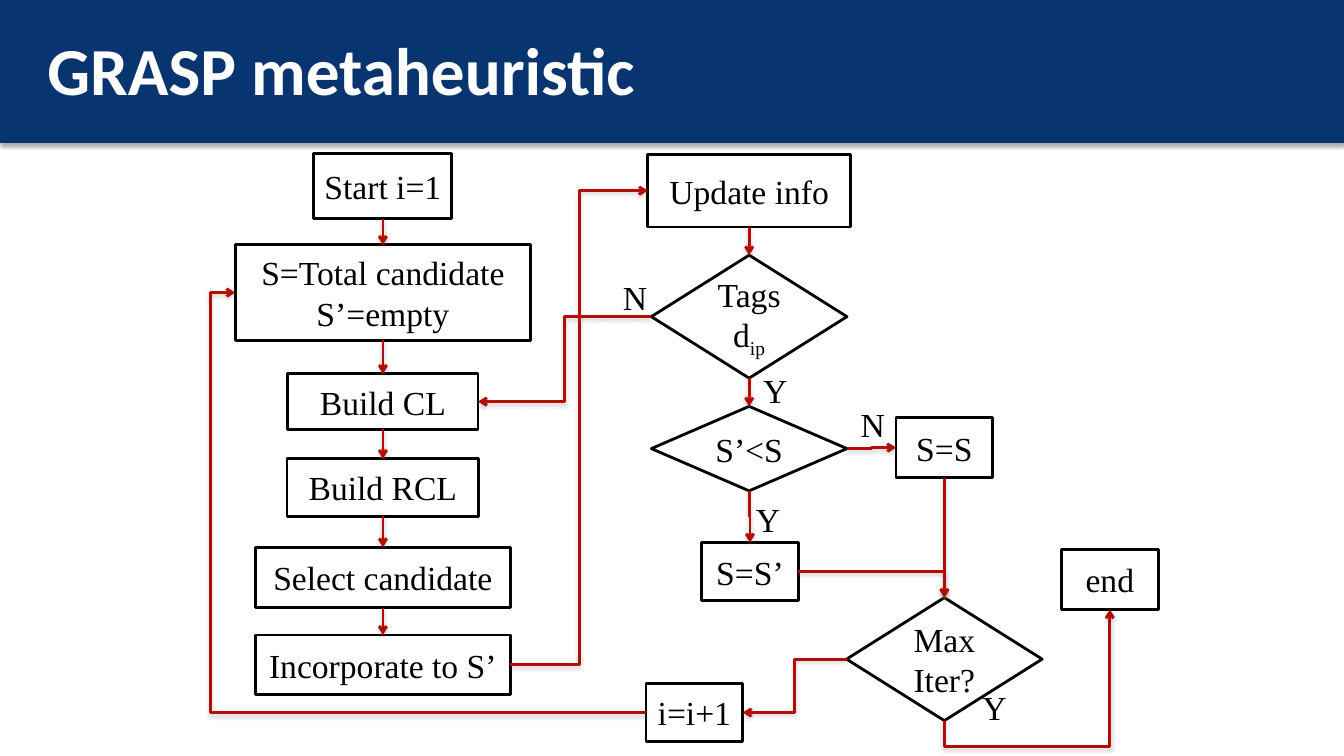
from lxml.etree import SubElement
from pptx import Presentation
from pptx.dml.color import RGBColor
from pptx.enum.shapes import MSO_CONNECTOR, MSO_SHAPE
from pptx.enum.text import MSO_ANCHOR, PP_ALIGN
from pptx.oxml.ns import qn
from pptx.util import Cm, Pt

COLORS = {
    "header": "083470",
    "white": "FFFFFF",
    "ink": "000000",
    "arrow": "B50C00",
    "arrow_shadow": "808080",
}
TOP, LEFT, BOTTOM, RIGHT = range(4)


def color(name):
    return RGBColor.from_string(COLORS[name])


def add_run(p, text, font="Times New Roman", size=24, fill="ink", bold=False, baseline=None):
    r = p.add_run()
    r.text = text
    r.font.name = font
    r.font.size = Pt(size)
    r.font.bold = bold
    r.font.color.rgb = color(fill)
    if baseline:
        r.font._element.set("baseline", str(baseline * 1000))


def add_shadow(sp, name, alpha, distance):
    effects = SubElement(sp.element.spPr, qn("a:effectLst"))
    shadow = SubElement(effects, qn("a:outerShdw"), blurRad=str(Pt(3.1)),
                        dist=str(Pt(distance)), dir="5400000", rotWithShape="0")
    clr = SubElement(shadow, qn("a:srgbClr"), val=COLORS[name])
    SubElement(clr, qn("a:alpha"), val=str(alpha * 1000))


class FlowSlide:
    def __init__(self, prs):
        self.s = prs.slides.add_slide(prs.slide_layouts[5])
        self.shapes = self.s.shapes

    def header(self, text, width, height):
        sp = self.shapes.add_shape(MSO_SHAPE.RECTANGLE, 0, 0, width, height)
        sp.fill.solid()
        sp.fill.fore_color.rgb = color("header")
        sp.line.fill.background()
        add_shadow(sp, "ink", 35, 1.8)
        title = self.shapes.title
        title.element.addprevious(sp.element)
        title.left, title.top, title.width, title.height = Cm(0.94), Cm(0.15), Cm(27.84), Cm(3.18)
        tf = title.text_frame
        tf.vertical_anchor = MSO_ANCHOR.MIDDLE
        p = tf.paragraphs[0]
        p.alignment = PP_ALIGN.LEFT
        add_run(p, text, font="Calibri", size=48, fill="white", bold=True)

    def put_text(self, sp, text):
        tf = sp.text_frame
        tf.word_wrap = False
        tf.vertical_anchor = MSO_ANCHOR.MIDDLE
        tf.margin_left = tf.margin_right = tf.margin_top = tf.margin_bottom = 0
        for i, line in enumerate(text.split("\n")):
            p = tf.add_paragraph() if i else tf.paragraphs[0]
            p.alignment = PP_ALIGN.CENTER
            base, _, sub = line.partition("_")
            add_run(p, base)
            if sub:
                add_run(p, sub, baseline=-25)

    def node(self, text, center, top, width, height, kind=MSO_SHAPE.RECTANGLE):
        sp = self.shapes.add_shape(kind, Cm(center - width / 2), Cm(top), Cm(width), Cm(height))
        sp.shadow.inherit = False
        sp.fill.solid()
        sp.fill.fore_color.rgb = color("white")
        sp.line.color.rgb = color("ink")
        sp.line.width = Pt(2)
        self.put_text(sp, text)
        return sp

    def decision(self, text, center, top, height):
        return self.node(text, center, top, 4.93, height, MSO_SHAPE.DIAMOND)

    def label(self, text, left, top):
        self.put_text(self.shapes.add_textbox(Cm(left), Cm(top), Cm(1.37), Cm(1.52)), text)

    def arrow(self, start, end, out=BOTTOM, into=TOP, bend=None):
        c = self.shapes.add_connector(MSO_CONNECTOR.ELBOW, 0, 0, 0, 0)
        c.begin_connect(start, out)
        c.end_connect(end, into)
        if out == BOTTOM:
            self.turn(c)
        geom = c.element.spPr.find(qn("a:prstGeom"))
        if out == RIGHT and into == TOP:
            geom.set("prst", "bentConnector2")
        if bend is not None:
            SubElement(geom.find(qn("a:avLst")), qn("a:gd"), name="adj1", fmla=f"val {bend * 1000}")
        c.line.color.rgb = color("arrow")
        c.line.width = Pt(2)
        SubElement(c.line._get_or_add_ln(), qn("a:tailEnd"), type="arrow")
        add_shadow(c, "arrow_shadow", 38, 1.6)

    def turn(self, c):
        x1, y1, x2, y2 = c.begin_x, c.begin_y, c.end_x, c.end_y
        across, down = abs(x2 - x1), abs(y2 - y1)
        c.left, c.top = (x1 + x2 - down) // 2, (y1 + y2 - across) // 2
        c.width, c.height = down, across
        xfrm = c.element.spPr.find(qn("a:xfrm"))
        xfrm.set("rot", "5400000")
        xfrm.set("flipH", str(int(y2 < y1)))
        xfrm.set("flipV", str(int(x2 > x1)))


def main():
    prs = Presentation()
    prs.slide_width, prs.slide_height = Cm(33.87), Cm(19.05)
    flow = FlowSlide(prs)
    flow.header("GRASP metaheuristic", prs.slide_width, Cm(3.6))

    build, check, finish = 9.65, 18.88, 23.8
    start = flow.node("Start i=1", build, 3.86, 3.48, 1.65)
    init = flow.node("S=Total candidate\nS’=empty", build, 6.17, 7.44, 2.41)
    cl = flow.node("Build CL", build, 9.42, 4.8, 1.4)
    rcl = flow.node("Build RCL", build, 11.56, 4.83, 1.45)
    select = flow.node("Select candidate", build, 13.79, 6.43, 1.52)
    incorporate = flow.node("Incorporate to S’", build, 16, 6.43, 1.5)
    update = flow.node("Update info", check, 3.89, 5.11, 1.83)
    tags = flow.decision("Tags\nd_ip", check, 6.43, 3.1)
    better = flow.decision("S’<S", check, 10.24, 2.13)
    replace = flow.node("S=S’", check + 0.02, 13.67, 2.44, 1.47)
    keep = flow.node("S=S", finish, 10.52, 2.44, 1.52)
    limit = flow.decision("Max\nIter?", finish, 15.06, 3.1)
    following = flow.node("i=i+1", 17.5, 17.22, 2.44, 1.47)
    end = flow.node("end", 27.97, 13.84, 2.44, 1.52)

    for chain in ((start, init, cl, rcl, select, incorporate),
                  (update, tags, better, replace), (keep, limit)):
        for a, b in zip(chain, chain[1:]):
            flow.arrow(a, b)
    flow.arrow(incorporate, update, RIGHT, LEFT)
    flow.arrow(better, keep, RIGHT, LEFT)
    flow.arrow(tags, cl, LEFT, RIGHT)
    flow.arrow(limit, following, LEFT, RIGHT)
    flow.arrow(following, init, LEFT, LEFT, bend=106)
    flow.arrow(replace, limit, RIGHT, TOP)
    flow.arrow(limit, end, BOTTOM, BOTTOM, bend=-23)

    for text, left, top in (("N", 21.31, 9.93), ("Y", 18.67, 12.32), ("Y", 24.38, 17.07),
                            ("Y", 18.85, 9.07), ("N", 15.32, 6.73)):
        flow.label(text, left, top)
    prs.save("out.pptx")


if __name__ == "__main__":
    main()
